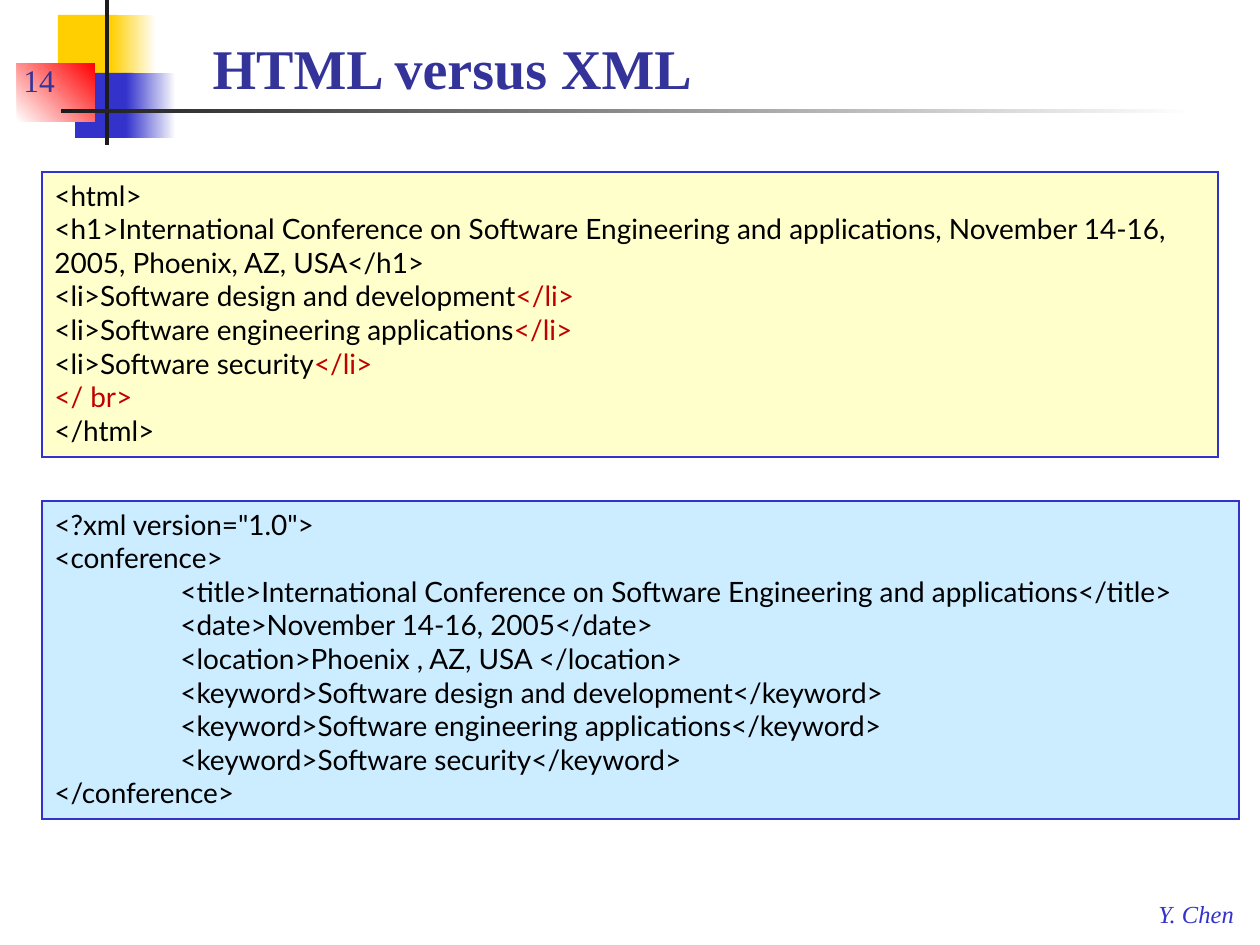
from lxml.etree import SubElement
from pptx import Presentation
from pptx.dml.color import RGBColor
from pptx.enum.shapes import MSO_SHAPE
from pptx.enum.text import MSO_ANCHOR, MSO_AUTO_SIZE, PP_ALIGN
from pptx.oxml.ns import qn
from pptx.util import Pt

PX = 914400 / 126
WHITE = RGBColor(0xFF, 0xFF, 0xFF)
BLACK = RGBColor(0x00, 0x00, 0x00)
CHARCOAL = RGBColor(0x1C, 0x1C, 0x1C)
GOLD = RGBColor(0xFF, 0xCF, 0x01)
BLUE = RGBColor(0x33, 0x33, 0xCC)
NAVY = RGBColor(0x33, 0x33, 0x99)
RED = RGBColor(0xFF, 0x00, 0x00)
DARK_RED = RGBColor(0xC0, 0x00, 0x00)
CREAM = RGBColor(0xFF, 0xFF, 0xCC)
SKY = RGBColor(0xCC, 0xEC, 0xFF)
SERIF = "Times New Roman"


def box(at):
    return [round(v * PX) for v in at]


def add_run(p, text, font):
    r = p.add_run()
    r.text = text
    for name, value in font.items():
        if name == "color":
            r.font.color.rgb = value
        else:
            setattr(r.font, name, value)


prs = Presentation()
prs.slide_width, prs.slide_height = box((1260, 945))
s = prs.slides.add_slide(prs.slide_layouts[5])

decor = [
    ((58, 15, 60, 66), [GOLD], 0),
    ((111, 15, 45, 66), [GOLD, WHITE], 0),
    ((75, 73, 58, 65), [BLUE], 0),
    ((126, 73, 50, 65), [BLUE, WHITE], 0),
    ((17, 63, 78, 59), [WHITE, RED], 45),
    ((105, 0, 4, 145), [CHARCOAL], 0),
    ((61, 109, 1134, 4), [CHARCOAL, WHITE], 0),
]
for at, colors, angle in decor:
    sp = s.shapes.add_shape(MSO_SHAPE.RECTANGLE, *box(at))
    sp.shadow.inherit = False
    sp.line.fill.background()
    if len(colors) == 1:
        sp.fill.solid()
        sp.fill.fore_color.rgb = colors[0]
    else:
        sp.fill.gradient()
        sp.fill.gradient_angle = angle
        for stop, color, position in zip(sp.fill.gradient_stops, colors, (0, 1)):
            stop.color.rgb = color
            stop.position = position

labels = [
    ((1146, 893, 103, 42), "Y. Chen", False, MSO_ANCHOR.TOP,
     {"size": Pt(14), "name": SERIF, "italic": True, "color": BLUE}),
    ((11, 42, 262, 63), "14", True, MSO_ANCHOR.BOTTOM,
     {"size": Pt(18), "name": SERIF, "color": NAVY}),
]
for at, text, wrap, anchor, font in labels:
    tf = s.shapes.add_textbox(*box(at)).text_frame
    tf.word_wrap = wrap
    tf.vertical_anchor = anchor
    add_run(tf.paragraphs[0], text, font)

title = s.shapes.title
title.left, title.top, title.width, title.height = box((200, 21, 1050, 86))
tf = title.text_frame
tf.auto_size = MSO_AUTO_SIZE.NONE
tf.vertical_anchor = MSO_ANCHOR.BOTTOM
p = tf.paragraphs[0]
p.alignment = PP_ALIGN.LEFT
add_run(p, "HTML versus XML",
        {"size": Pt(32), "name": SERIF, "bold": True, "color": NAVY})

html_lines = [
    ("<html>", ""),
    ("<h1>International Conference on Software Engineering and applications, "
     "November 14-16, 2005, Phoenix, AZ, USA</h1>", ""),
    ("<li>Software design and development", "</li>"),
    ("<li>Software engineering applications", "</li>"),
    ("<li>Software security", "</li>"),
    ("", "</ br>"),
    ("</html>", ""),
]
xml_lines = [
    ('<?xml version="1.0">', ""),
    ("<conference>", ""),
    ("\t<title>International Conference on Software Engineering and applications</title>", ""),
    ("\t<date>November 14-16, 2005</date>", ""),
    ("\t<location>Phoenix , AZ, USA </location>", ""),
    ("\t<keyword>Software design and development</keyword>", ""),
    ("\t<keyword>Software engineering applications</keyword>", ""),
    ("\t<keyword>Software security</keyword>", ""),
    ("</conference>", ""),
]
panels = [
    ((42, 172, 1176, 285), CREAM, html_lines),
    ((42, 501, 1197, 318), SKY, xml_lines),
]
for at, fill, lines in panels:
    sp = s.shapes.add_shape(MSO_SHAPE.RECTANGLE, *box(at))
    sp.shadow.inherit = False
    sp.fill.solid()
    sp.fill.fore_color.rgb = fill
    sp.line.color.rgb = BLUE
    sp.line.width = Pt(0.75)
    SubElement(sp.line._get_or_add_ln(), qn("a:miter"), lim="800000")
    tf = sp.text_frame
    tf.word_wrap = True
    tf.auto_size = MSO_AUTO_SIZE.SHAPE_TO_FIT_TEXT
    tf.vertical_anchor = MSO_ANCHOR.TOP
    for i, parts in enumerate(lines):
        p = tf.add_paragraph() if i else tf.paragraphs[0]
        p.alignment = PP_ALIGN.LEFT
        if parts[0].startswith("\t"):
            tabs = SubElement(p._p.get_or_add_pPr(), qn("a:tabLst"))
            SubElement(tabs, qn("a:tab"), pos=str(round(126 * PX)), algn="l")
        for text, color in zip(parts, (BLACK, DARK_RED)):
            if text:
                add_run(p, text, {"size": Pt(16), "name": "Lato", "color": color})

prs.save("out.pptx")
